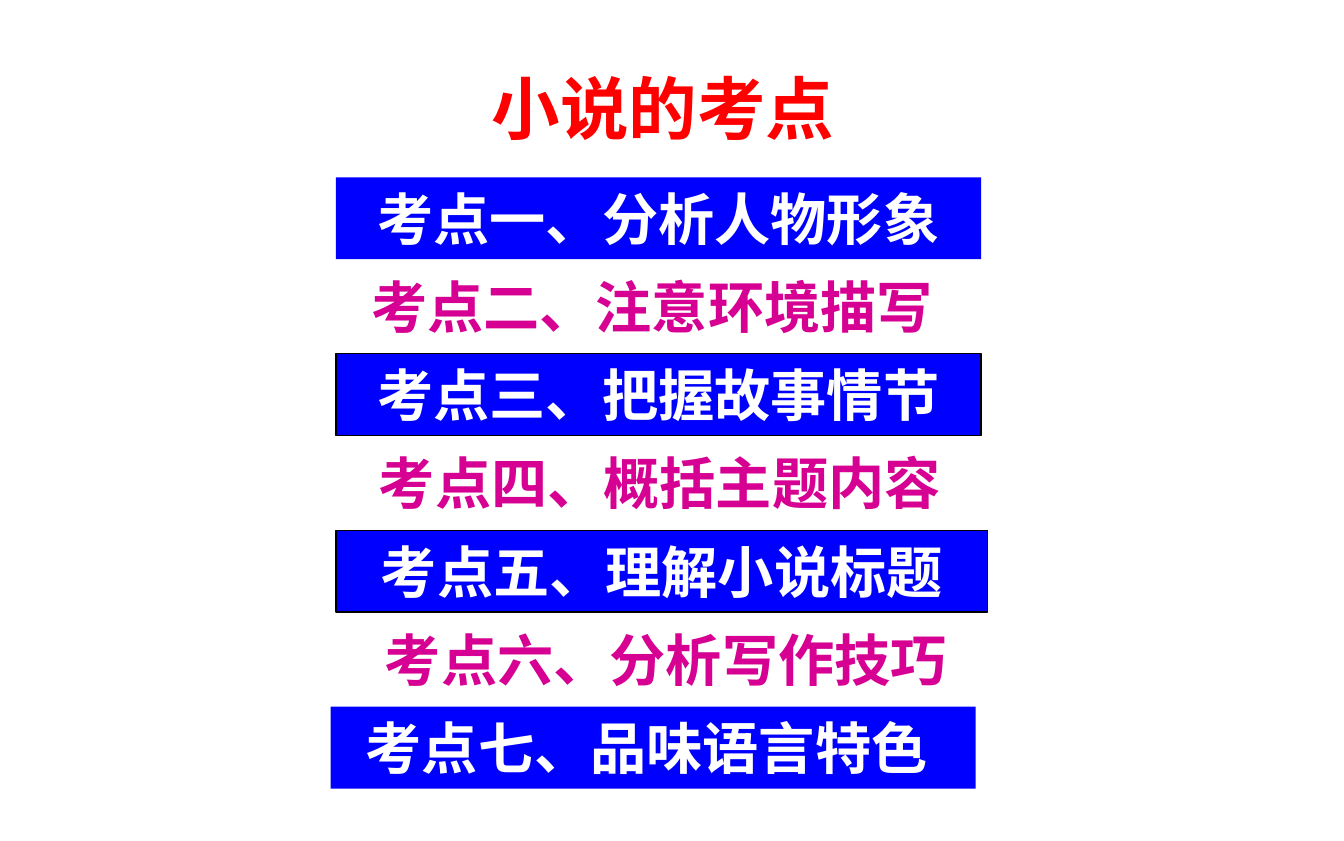
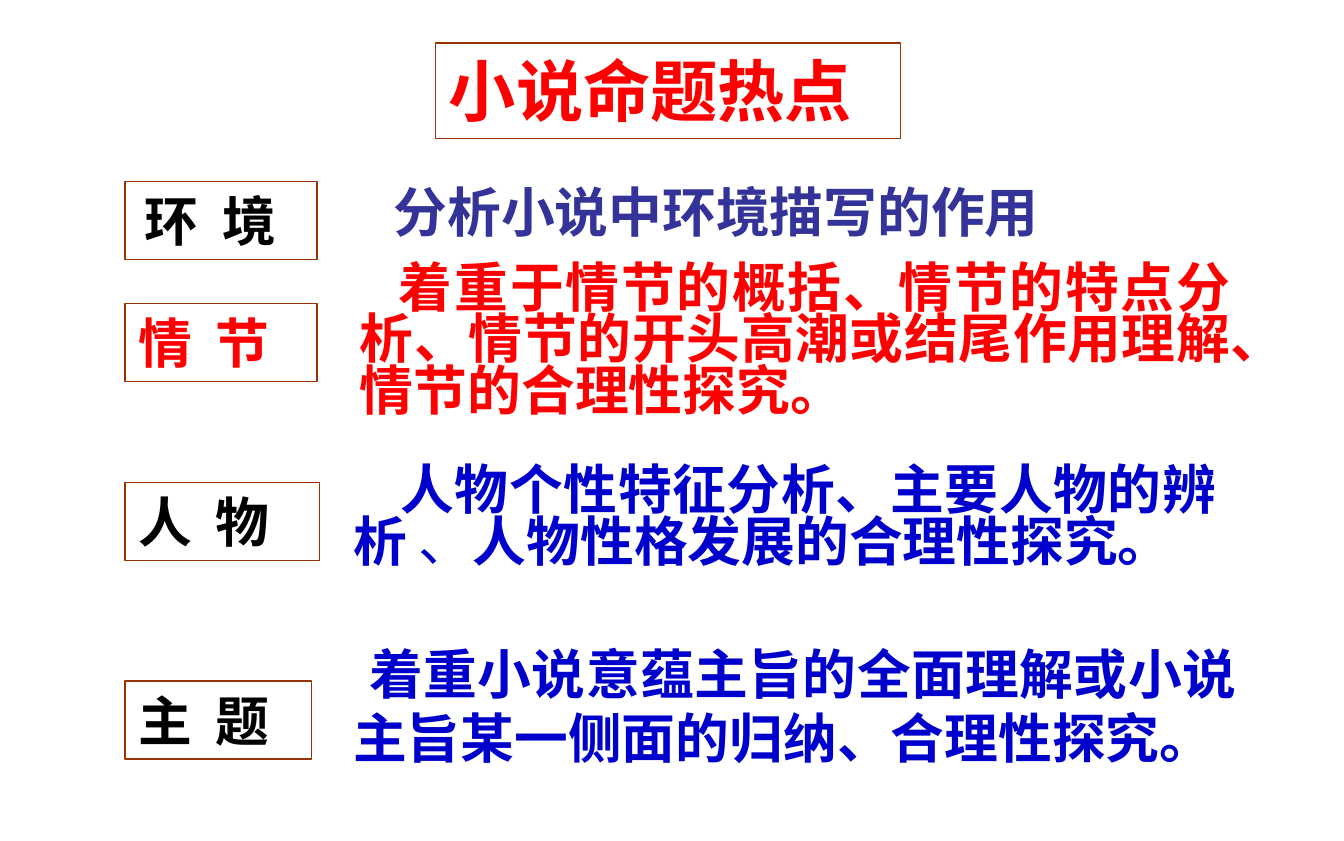
from lxml import etree
from pptx import Presentation
from pptx.dml.color import RGBColor
from pptx.enum import shapes, text
from pptx.oxml import ns
from pptx.util import Inches, Pt

WIDTH, HEIGHT = 10, 6.26
CJK_FONT = "Noto Sans CJK SC"
TIMES, ARIAL = "Times New Roman", "Arial"
SINGLE, TIGHT = 1.0, 0.8  # line spacing

WHITE = RGBColor(0xFF, 0xFF, 0xFF)
BLACK = RGBColor(0, 0, 0)
RED = RGBColor(0xFF, 0, 0)
BLUE = RGBColor(0, 0, 0xFF)
MAGENTA = RGBColor(0xD6, 0, 0x93)
BROWN = RGBColor(0x99, 0x33, 0)
INDIGO = RGBColor(0x33, 0x33, 0x99)
NAVY = RGBColor(0, 0, 0xCC)

CENTER, JUSTIFY = text.PP_ALIGN.CENTER, text.PP_ALIGN.JUSTIFY
TOP, MIDDLE = text.MSO_ANCHOR.TOP, text.MSO_ANCHOR.MIDDLE

# Slide 1: text, left, width, outline
EXAM_POINTS = [
    ("考点一、分析人物形象", 2.5, 4.8, None),
    ("考点二、注意环境描写 ", 2.5, 4.8, None),
    ("考点三、把握故事情节", 2.5, 4.8, BLACK),
    ("考点四、概括主题内容", 2.5, 4.82, None),
    ("考点五、理解小说标题", 2.5, 4.85, BLACK),
    ("考点六、分析写作技巧", 2.5, 4.91, None),
    ("考点七、品味语言特色 ", 2.46, 4.8, None),
]
FIRST_ROW, LAST_ROW, ROW_HEIGHT = 1.32, 5.26, 0.61
ROW_PITCH = (LAST_ROW - FIRST_ROW) / (len(EXAM_POINTS) - 1)

# Slide 2: the two characters, top, width, colour, indent
TOPICS = [
    ("环境", 1.35, 1.43, BLACK, 0.05),
    ("情节", 2.26, 1.43, RED, 0),
    ("人物", 3.59, 1.45, BLACK, 0),
    ("主题", 5.07, 1.39, BLACK, 0),
]

# Slide 2: runs, place, colour, first-line indent, line spacing
EXPLANATIONS = [
    (["分析小说中环境描写的作用 "], (2.67, 1.28, 5.38, 0.58), INDIGO, 0.16, SINGLE),
    (["着重于情节的概括、情节的特点分析、情节的开头高潮或结尾作用理解、情节的合理性探究。 "],
     (2.58, 1.93, 6.68, 1.26), RED, 0.29, TIGHT),
    (["人物个性特征分析、主要人物的辨析", " 、", "人物性格发展的合理性探究。"],
     (2.53, 3.44, 6.62, 0.87), NAVY, 0.35, TIGHT),
    (["着重小说意蕴主旨的全面理解或小说主旨某一侧面的归纳、合理性探究。 "],
     (2.53, 4.72, 6.77, 1.07), NAVY, 0.12, SINGLE),
]


def place(shape, left, top, width, height):
    for side, value in dict(left=left, top=top, width=width, height=height).items():
        setattr(shape, side, Inches(value))


def paint(shape, fill, outline):
    shape.fill.solid()
    shape.fill.fore_color.rgb = fill
    if outline is None:
        shape.line.fill.background()
    else:
        shape.line.color.rgb = outline
        shape.line.width = Pt(0.75)


def write(shape, runs, size, color, font, align=JUSTIFY, anchor=TOP,
          indent=0, spacing=SINGLE):
    """Fill a shape with one paragraph and return its runs."""
    frame = shape.text_frame
    frame_format = dict(
        word_wrap=True, auto_size=text.MSO_AUTO_SIZE.NONE, vertical_anchor=anchor,
        margin_left=Inches(0.1), margin_right=Inches(0.1),
        margin_top=Inches(0.05), margin_bottom=Inches(0.05))
    for name, value in frame_format.items():
        setattr(frame, name, value)
    paragraph = frame.paragraphs[0]
    paragraph.alignment = align
    paragraph.line_spacing = spacing
    paragraph.space_before = Pt(0)
    if indent:
        properties = paragraph._p.get_or_add_pPr()
        properties.set("marL", "0")
        properties.set("indent", str(Inches(indent)))
    for words in runs:
        run = paragraph.add_run()
        run.text = words
        for name, value in dict(size=Pt(size), bold=True, name=font).items():
            setattr(run.font, name, value)
        run.font.color.rgb = color
        east_asian = etree.SubElement(run._r.get_or_add_rPr(), ns.qn("a:ea"))
        east_asian.set("typeface", CJK_FONT)
    return paragraph.runs


def add_box(slide, area, fill, outline):
    box = slide.shapes.add_shape(shapes.MSO_SHAPE.RECTANGLE,
                                 *[Inches(length) for length in area])
    box.shadow.inherit = False
    paint(box, fill, outline)
    return box


def add_titled_slide(deck, heading, area, size, font, align, anchor):
    slide = deck.slides.add_slide(deck.slide_layouts[5])
    place(slide.shapes.title, *area)
    write(slide.shapes.title, [heading], size, RED, font, align, anchor)
    return slide


def add_exam_point(slide, row, words, left, width, outline):
    banded = row % 2 == 0
    area = (left, FIRST_ROW + row * ROW_PITCH, width, ROW_HEIGHT)
    bar = add_box(slide, area, BLUE if banded else WHITE, outline)
    write(bar, [words], 30.1, WHITE if banded else MAGENTA, TIMES, CENTER)


def add_topic(slide, characters, top, width, color, indent):
    label = add_box(slide, (0.93, top, width, 0.58), WHITE, BROWN)
    first, last = characters
    gap = write(label, [first, " ", last], 28.8, color, ARIAL, indent=indent)[1]
    gap._r.get_or_add_rPr().set("spc", "600")  # widen the gap by 6 pt


def add_explanation(slide, runs, area, color, indent, spacing):
    note = slide.shapes.add_textbox(*[Inches(length) for length in area])
    written = write(note, runs, 28.8, color, CJK_FONT, indent=indent, spacing=spacing)
    for run in written:
        run.font.bold = run.text != " 、"


def main():
    deck = Presentation()
    deck.slide_width, deck.slide_height = Inches(WIDTH), Inches(HEIGHT)

    # Exam points
    points = add_titled_slide(deck, "小说的考点", (1.18, 0.42, 7.51, 0.76),
                              36.7, TIMES, CENTER, MIDDLE)
    for row, point in enumerate(EXAM_POINTS):
        add_exam_point(points, row, *point)

    # Hot topics
    hot = add_titled_slide(deck, "小说命题热点", (3.24, 0.32, 3.46, 0.71),
                           36, ARIAL, JUSTIFY, TOP)
    paint(hot.shapes.title, WHITE, BROWN)
    for topic in TOPICS:
        add_topic(hot, *topic)
    for explanation in EXPLANATIONS:
        add_explanation(hot, *explanation)

    deck.save("out.pptx")


if __name__ == "__main__":
    main()
